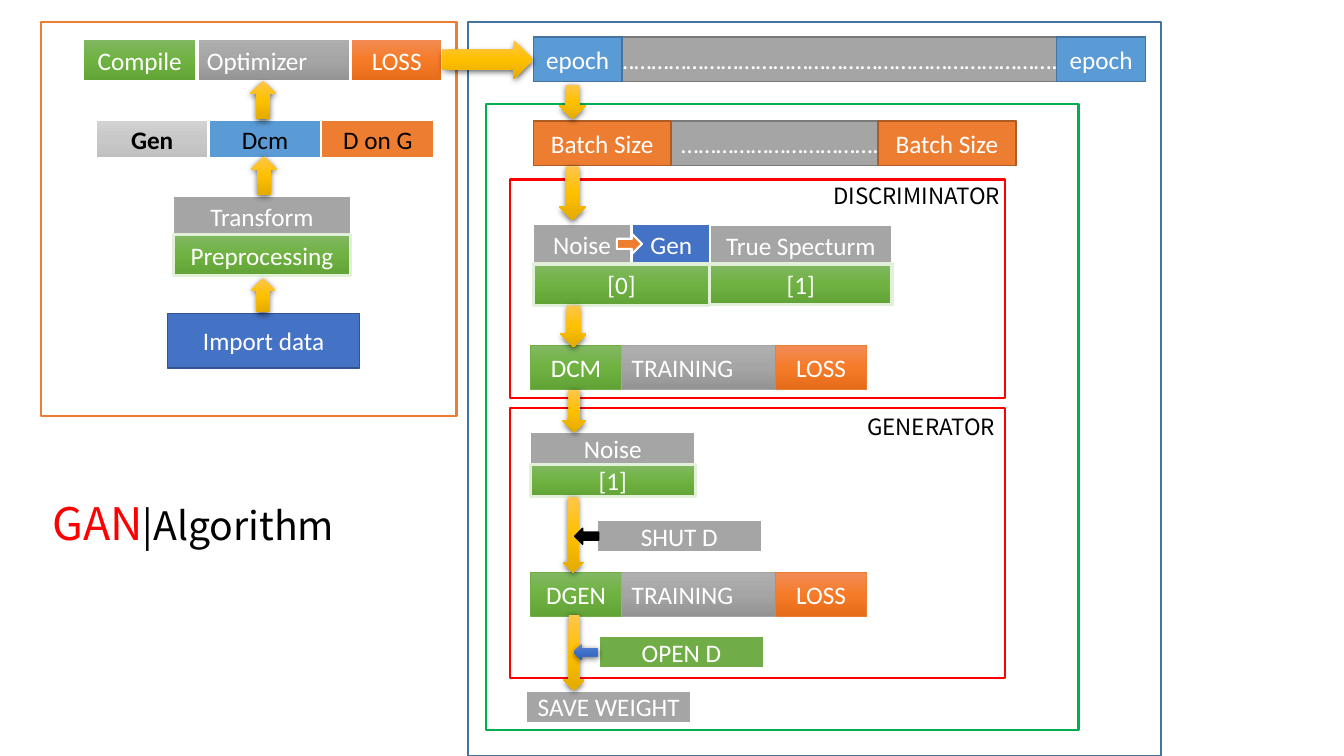
from copy import deepcopy
from dataclasses import dataclass

from lxml import etree
from pptx import Presentation
from pptx.dml.color import RGBColor
from pptx.enum import shapes, text
from pptx.oxml import ns
from pptx.util import Pt


@dataclass(frozen=True)
class Theme:
    white: str = "FFFFFF"
    black: str = "000000"
    red: str = "FF0000"
    grey: str = "A5A5A5"
    grey_edge: str = "7A7A7A"
    sky: str = "5B9BD5"
    sky_edge: str = "43739E"
    blue: str = "4472C4"
    blue_edge: str = "325491"
    orange: str = "ED7D31"
    orange_edge: str = "AF5C24"
    green: str = "70AD47"
    pale_green: str = "E2F0D9"
    frame_green: str = "00B050"
    green_fade: tuple = ("81B861", "6FB242", "62A336")
    grey_fade: tuple = ("AFAFAF", "A5A5A5", "939393")
    orange_fade: tuple = ("F18C57", "F67B28", "E56C19")
    silver_fade: tuple = ("D2D2D2", "C8C8C8", "C0C0C0")
    gold_fade: tuple = ("FFC64B", "FFC000", "E3AB00")
    blue_fade: tuple = ("6183CB", "3E70CA", "3062BB")
    body_font: str = "Calibri"
    title_font: str = "Noto Sans CJK KR"
    body: int = 18
    caption: int = 16
    title: int = 28
    accent: int = 32


THEME = Theme()
PRESET = shapes.MSO_SHAPE
ALIGN = text.PP_ALIGN
ANCHOR = text.MSO_ANCHOR
WHITE_EDGE = (THEME.white, 1.5)
PALE_EDGE = (THEME.pale_green, 2.25)
GREY_EDGE = (THEME.grey_edge, 1)


def add_run(paragraph, words, font, size, color, bold=False):
    run = paragraph.add_run()
    run.text = words
    run.font.name = font
    run.font.size = Pt(size)
    run.font.bold = bold
    run.font.color.rgb = RGBColor.from_string(color)


def paint(shape, fill):
    if fill is None:
        shape.fill.background()
    elif isinstance(fill, str):
        shape.fill.solid()
        shape.fill.fore_color.rgb = RGBColor.from_string(fill)
    else:
        shape.fill.gradient()
        shape.fill.gradient_angle = 270
        stops = shape._element.spPr.find(".//" + ns.qn("a:gsLst"))
        stops.append(deepcopy(stops[0]))
        for stop, color, position in zip(shape.fill.gradient_stops, fill, (0, 0.5, 1)):
            stop.color.rgb = RGBColor.from_string(color)
            stop.position = position


def add_preset(slide, preset, box, fill=None, edge=None):
    shape = slide.shapes.add_shape(preset, *map(Pt, box))
    shape.shadow.inherit = False
    paint(shape, fill)
    if edge:
        color, width = edge
        shape.line.color.rgb = RGBColor.from_string(color)
        shape.line.width = Pt(width)
    else:
        shape.line.fill.background()
    return shape


def add_frame(slide, box, color):
    add_preset(slide, PRESET.RECTANGLE, box, edge=(color, 1.5))


def add_block(slide, words, box, fill, edge=WHITE_EDGE, align=ALIGN.CENTER,
              color=THEME.white, bold=False):
    block = add_preset(slide, PRESET.RECTANGLE, box, fill, edge)
    block.text_frame.vertical_anchor = ANCHOR.MIDDLE
    paragraph = block.text_frame.paragraphs[0]
    paragraph.alignment = align
    add_run(paragraph, words, THEME.body_font, THEME.body, color, bold)


def add_flow(slide, preset, box, fill=THEME.gold_fade):
    flow = add_preset(slide, preset, box, fill)
    effects = flow._element.spPr.find(ns.qn("a:effectLst"))
    shadow = etree.SubElement(effects, ns.qn("a:outerShdw"), blurRad=str(Pt(4.5)),
                              dist=str(Pt(1.5)), dir="5400000", algn="ctr", rotWithShape="0")
    color = etree.SubElement(shadow, ns.qn("a:srgbClr"), val=THEME.black)
    etree.SubElement(color, ns.qn("a:alpha"), val="63000")


def add_caption(slide, words, box):
    caption = slide.shapes.add_textbox(*map(Pt, box)).text_frame
    caption.word_wrap = True
    caption.paragraphs[0].alignment = ALIGN.RIGHT
    add_run(caption.paragraphs[0], words, THEME.title_font, THEME.caption, THEME.black)


def add_cycle(slide, words, dots, top, dots_left, right, end_width, fill, edge):
    left, height = 380.9, 31.7
    add_block(slide, dots, (dots_left, top, right - dots_left, height),
              THEME.grey, GREY_EDGE, ALIGN.LEFT)
    for end_left in (left, right - end_width):
        add_block(slide, words, (end_left, top, end_width, height), fill, (edge, 1))


def add_phase(slide, first, middle, left, top, first_width, loss_left, edges):
    height, middle_width, loss_width = 31, 175, 65.5
    add_block(slide, first, (left, top, first_width, height), THEME.green_fade, edges[0])
    add_block(slide, middle, (left + first_width, top, middle_width, height),
              THEME.grey_fade, edges[1], ALIGN.LEFT)
    add_block(slide, "LOSS", (loss_left, top, loss_width, height), THEME.orange_fade, edges[2])


def add_title(slide):
    title = slide.shapes.title
    title.left, title.top, title.width, title.height = map(Pt, (30.2, 350.6, 262.1, 79.9))
    frame = title.text_frame
    frame.word_wrap = True
    frame.auto_size = text.MSO_AUTO_SIZE.NONE
    frame.vertical_anchor = ANCHOR.TOP
    heading = frame.paragraphs[0]
    heading.alignment = ALIGN.LEFT
    add_run(heading, "GAN", THEME.title_font, THEME.accent, THEME.red)
    add_run(heading, "|Algorithm", THEME.title_font, THEME.title, THEME.black)


def add_setup(slide):
    add_block(slide, "Import data", (119.5, 223.9, 137.5, 38.9), THEME.blue, (THEME.blue_edge, 1))
    models = (("Gen", THEME.silver_fade), ("Dcm", THEME.sky), ("D on G", THEME.orange))
    for i, (model, fill) in enumerate(models):
        add_block(slide, model, (68.4 + i * 80.6, 85.7, 80.6, 27.4), fill,
                  color=THEME.black, bold=i == 0)
    add_block(slide, "Transform", (123.8, 139.7, 126.7, 29.5), THEME.grey)
    add_block(slide, "Preprocessing", (123.8, 167.8, 126.7, 28.8), THEME.green_fade, PALE_EDGE)
    add_phase(slide, "Compile", "Optimizer", 59, 27.4, 81.7, 250.6, [(THEME.white, 2.25)] * 3)


def add_discriminator(slide):
    add_block(slide, "Noise", (380.9, 159.8, 69.8, 29.5), THEME.grey)
    add_block(slide, "Gen", (451.4, 159.8, 56.2, 29.5), THEME.blue)
    add_preset(slide, PRESET.RIGHT_ARROW, (440.6, 167, 18, 14.4), THEME.orange, WHITE_EDGE)
    add_block(slide, "[0]", (380.9, 188.6, 126, 29.5), THEME.green_fade, PALE_EDGE)
    add_block(slide, "True Specturm", (506.9, 160.6, 130.3, 29.5), THEME.grey)
    add_block(slide, "[1]", (506.9, 188.6, 130.3, 28.8), THEME.green_fade, PALE_EDGE)


def add_generator(slide):
    steps = (("Noise", 378.7, 308.9, THEME.grey, WHITE_EDGE),
             ("[1]", 378.7, 331.9, THEME.green_fade, PALE_EDGE),
             ("SHUT D", 426.2, 371.5, THEME.grey, WHITE_EDGE),
             ("OPEN D", 427.7, 454.3, THEME.green, WHITE_EDGE),
             ("SAVE WEIGHT", 375.8, 493.2, THEME.grey, WHITE_EDGE))
    for step, left, top, fill, edge in steps:
        add_block(slide, step, (left, top, 118.1, 23), fill, edge)


def main():
    deck = Presentation()
    deck.slide_width, deck.slide_height = Pt(960), Pt(540)
    slide = deck.slides.add_slide(deck.slide_layouts[5])
    add_title(slide)
    for box, color in (((334, 15.8, 495.4, 524.2), THEME.sky_edge),
                       ((347, 74.2, 423.4, 447.1), THEME.frame_green),
                       ((364.3, 291.6, 353.5, 193), THEME.red),
                       ((364.3, 128.2, 353.5, 156.2), THEME.red),
                       ((29.5, 15.8, 296.6, 281.5), THEME.orange)):
        add_frame(slide, box, color)
    add_setup(slide)
    add_cycle(slide, "Batch Size", "……………………………..", 86.4, 479.5, 725.7, 98.6,
              THEME.orange, THEME.orange_edge)
    add_cycle(slide, "epoch", "………………………………………………………………….", 26.6, 433.4, 818.2, 63.4,
              THEME.sky, THEME.sky_edge)
    add_discriminator(slide)
    add_generator(slide)
    thin_edges = [(color, 0.5) for color in (THEME.green, THEME.grey, THEME.orange)]
    for network, top in (("DCM", 247), ("DGEN", 409)):
        add_phase(slide, network, "TRAINING", 378.7, top, 65.5, 553.7, thin_edges)
    for box in ((179.3, 198.7, 17.3, 24.5), (179.3, 111.6, 18.7, 27.4), (178.6, 57.6, 18.7, 27.4)):
        add_flow(slide, PRESET.UP_ARROW, box)
    add_flow(slide, PRESET.STRIPED_RIGHT_ARROW, (316.1, 28.8, 64.8, 27.4))
    for box in ((399.6, 118.8, 18.7, 38.2), (399.6, 60.5, 18.7, 24.5),
                (400.3, 218.2, 18.7, 29.5), (401.8, 278.6, 16.6, 30.2),
                (401.8, 355, 15.1, 54), (402.5, 439.2, 15.1, 54)):
        add_flow(slide, PRESET.DOWN_ARROW, box)
    add_preset(slide, PRESET.LEFT_ARROW, (410.4, 377.3, 17.3, 11.5), THEME.black, (THEME.black, 1))
    add_flow(slide, PRESET.LEFT_ARROW, (409.7, 460.1, 17.3, 11.5), THEME.blue_fade)
    add_caption(slide, "GENERATOR", (591.1, 291.6, 126.7, 60.5))
    add_caption(slide, "DISCRIMINATOR", (566.6, 126.7, 154.8, 60.5))
    deck.save("out.pptx")


if __name__ == "__main__":
    main()
